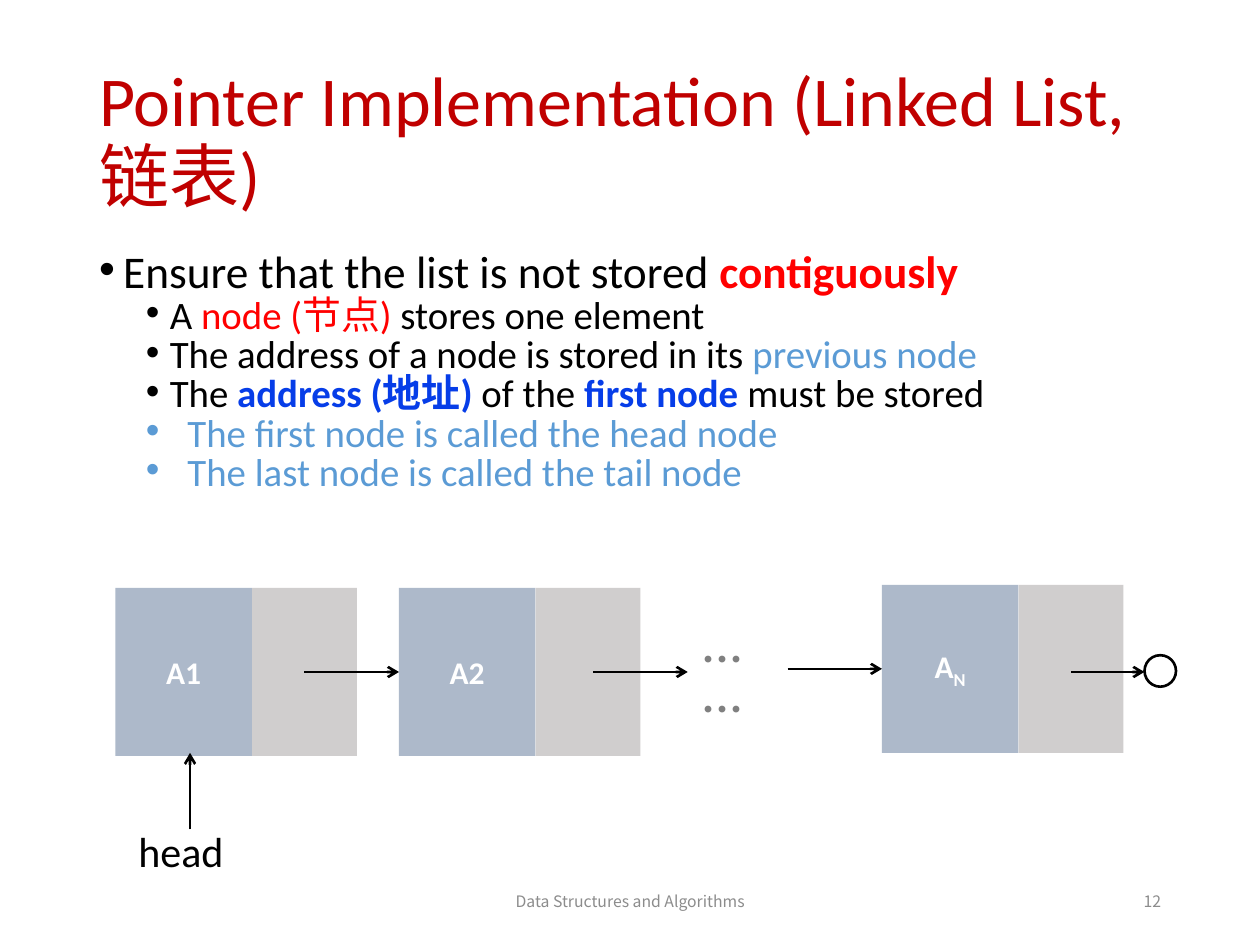
from lxml import etree
from pptx import Presentation, util as u
from pptx.dml.color import RGBColor
from pptx.enum import shapes as s, text as t
from pptx.oxml.ns import qn

COLORS = {
    "title": "C00000", "ink": "000000", "red": "FF0000", "sky": "5B9BD5",
    "blue": "063DE8", "data": "ADB9CA", "link": "D0CECE", "white": "FFFFFF",
    "dots": "808080", "footer": "8C8C8C",
}
COLS, ROWS = 120, 90
prs = Presentation()
prs.slide_width, prs.slide_height = u.Inches(10), u.Inches(7.5)


def grid(col, row):
    """Turn grid columns and rows into slide lengths."""
    return round(prs.slide_width * col / COLS), round(prs.slide_height * row / ROWS)


def box_at(box):
    return *grid(*box[:2]), *grid(*box[2:])


def add_text(paragraph, words, size=18, color="ink", bold=False,
             font="Calibri", baseline=None):
    run = paragraph.add_run()
    run.text = words
    run.font.size, run.font.bold, run.font.name = u.Pt(size), bold, font
    run.font.color.rgb = RGBColor.from_string(COLORS[color])
    props = run._r.get_or_add_rPr()
    etree.SubElement(props, qn("a:ea"), typeface=font)
    if baseline:
        props.set("baseline", str(baseline))


def place(placeholder, box):
    placeholder.left, placeholder.top, placeholder.width, placeholder.height = box_at(box)
    placeholder.text_frame.auto_size = t.MSO_AUTO_SIZE.NONE
    return placeholder.text_frame


def add_title(slide, box):
    frame = place(slide.shapes.title, box)
    frame.vertical_anchor = t.MSO_ANCHOR.MIDDLE
    heading = frame.paragraphs[0]
    heading.alignment, heading.line_spacing = t.PP_ALIGN.LEFT, 0.9
    add_text(heading, "Pointer Implementation (Linked List,链表)", 40, "title")


def add_bullets(slide, box, points):
    """Each point is (level, text margin, hanging indent, runs)."""
    frame = place(slide.placeholders[1], box)
    for i, (level, margin, hang, runs) in enumerate(points):
        point = frame.add_paragraph() if i else frame.paragraphs[0]
        point.level, point.line_spacing = level, 0.7
        point.space_before, point.space_after = u.Pt(3.8 if level else 7.5), u.Pt(0)
        props = point._p.get_or_add_pPr()
        props.set("marL", str(u.Inches(margin)))
        props.set("indent", str(-u.Inches(hang)))
        etree.SubElement(props, qn("a:buFont"), typeface="Arial")
        etree.SubElement(props, qn("a:buChar"), char="•")
        for words, color, bold in runs:
            add_text(point, words, 22.2 if level else 25.9, color, bold)


def add_label(slide, box, words, align=t.PP_ALIGN.LEFT,
              anchor=t.MSO_ANCHOR.TOP, wrap=True, **style):
    frame = slide.shapes.add_textbox(*box_at(box)).text_frame
    frame.word_wrap, frame.vertical_anchor = wrap, anchor
    frame.paragraphs[0].alignment = align
    add_text(frame.paragraphs[0], words, **style)


def add_cell(slide, box, color):
    cell = slide.shapes.add_shape(s.MSO_SHAPE.RECTANGLE, *box_at(box))
    cell.shadow.inherit = False
    cell.fill.solid()
    cell.fill.fore_color.rgb = RGBColor.from_string(COLORS[color])
    cell.line.fill.background()
    return cell


def add_node(slide, box, name, subscript=""):
    """A list node: data cell and pointer cell, split 13 to 10."""
    left, top, width, height = box
    split = width * 13 / 23
    data = add_cell(slide, (left, top, split, height), "data")
    add_cell(slide, (left + split, top, width - split, height), "link")
    frame = data.text_frame
    frame.vertical_anchor = t.MSO_ANCHOR.MIDDLE
    label = frame.paragraphs[0]
    label.alignment = t.PP_ALIGN.CENTER
    add_text(label, name, color="white", bold=True)
    if subscript:
        add_text(label, subscript, color="white", bold=True, baseline=-25000)
    return data


def draw_outline(line):
    line.color.rgb = RGBColor.from_string(COLORS["ink"])
    line.width = u.Pt(1.5)


def add_arrow(slide, start, end, target=None):
    arrow = slide.shapes.add_connector(
        s.MSO_CONNECTOR.STRAIGHT, *grid(*start), *grid(*end))
    if target is not None:
        arrow.end_connect(target, 1)
    draw_outline(arrow.line)
    etree.SubElement(arrow.line._get_or_add_ln(), qn("a:tailEnd"), type="arrow")
    etree.SubElement(arrow._element.spPr, qn("a:effectLst"))


def add_linked_list(slide, box):
    left, top, width, height = box
    node_w, node_h, reach = 23, 16, 9
    middle = top + node_h / 2
    last_left, last_top = left + 73, top - 0.3

    # Nodes
    add_node(slide, (left, top, node_w, node_h), "A1")
    second = add_node(slide, (left + 27, top, node_w, node_h), "A2")
    last = add_node(slide, (last_left, last_top, node_w, node_h), "A", "N")

    # Pointers between nodes
    add_arrow(slide, (left + 18, middle), (left + 27, middle), second)
    add_arrow(slide, (left + 45.5, middle), (left + 45.5 + reach, middle))
    last_middle = last_top + node_h / 2
    add_arrow(slide, (last_left - reach, last_middle), (last_left, last_middle), last)
    add_label(slide, (left + 54.6, top + 3.7, 10.3, 6), "……", size=24,
              color="dots", bold=True, font="Noto Sans CJK KR")

    # Null end
    end = left + width - 3
    add_arrow(slide, (left + 91, middle), (end, middle))
    null = slide.shapes.add_shape(
        s.MSO_SHAPE.OVAL, *box_at((end, middle - 1.6, 3, 3)))
    null.shadow.inherit = False
    null.fill.background()
    draw_outline(null.line)

    # Head pointer
    head = left + 7.1
    add_arrow(slide, (head, top + height - 5), (head, top + node_h - 0.3))
    add_label(slide, (left + 1, top + height - 6, 10.9, 6), "head",
              wrap=False, size=24)


def add_footer(slide, box):
    left, top, width, height = box
    style = dict(anchor=t.MSO_ANCHOR.MIDDLE, size=9, color="footer",
                 font="Noto Sans CJK SC")
    add_label(slide, (left + 31.5, top, 40.5, height),
              "Data Structures and Algorithms", t.PP_ALIGN.CENTER, **style)
    add_label(slide, (left + width - 27, top, 27, height), "12",
              t.PP_ALIGN.RIGHT, **style)


POINTS = [
    (0, 0.19, 0.19, [("Ensure that the list is not stored ", "ink", False),
                     ("contiguously", "red", True)]),
    (1, 0.56, 0.19, [("A ", "ink", False), ("node (节点) ", "red", False),
                     ("stores one element", "ink", False)]),
    (1, 0.56, 0.19, [("The address of a node is stored in its ", "ink", False),
                     ("previous node", "sky", False)]),
    (1, 0.56, 0.19, [("The ", "ink", False), ("address (地址)", "blue", True),
                     (" of the ", "ink", False), ("first node ", "blue", True),
                     ("must be stored", "ink", False)]),
    (1, 0.7, 0.33, [("The first node is called the head node", "sky", False)]),
    (1, 0.7, 0.33, [("The last node is called the tail node", "sky", False)]),
]


def main():
    slide = prs.slides.add_slide(prs.slide_layouts[1])
    add_title(slide, (8.25, 4.8, 103.5, 17.4))
    add_bullets(slide, (8.25, 24, 103.5, 25.7), POINTS)
    add_linked_list(slide, (11, 56, 101, 28))
    add_footer(slide, (8.25, 83.4, 103.5, 4.8))
    prs.save("out.pptx")


if __name__ == "__main__":
    main()
